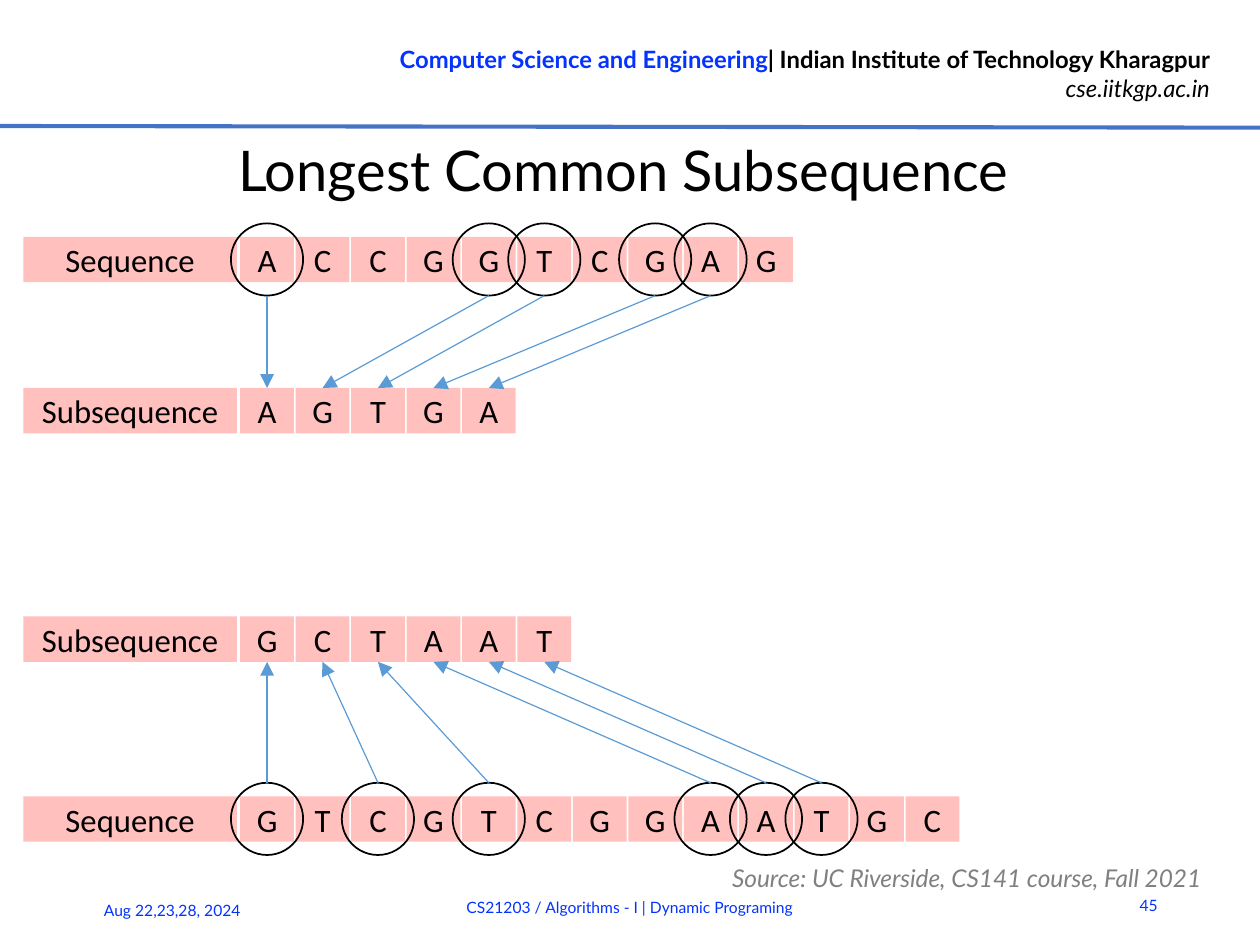
import pptx
import pptx.util
import pptx.dml.color
import pptx.enum.shapes
import pptx.enum.text
import pptx.oxml.ns
import lxml.etree

Inches, Pt = pptx.util.Inches, pptx.util.Pt
SHAPE = pptx.enum.shapes.MSO_SHAPE
STRAIGHT = pptx.enum.shapes.MSO_CONNECTOR.STRAIGHT
ALIGN = pptx.enum.text.PP_ALIGN
ANCHOR = pptx.enum.text.MSO_ANCHOR
qn = pptx.oxml.ns.qn

BLUE, BLACK, GREY = "0432FF", "000000", "808080"
PINK, ARROW, RULE = "FFACA9", "5B9BD5", "4472C4"
LEFT, LABEL_W = 0.14, 1.27
CELL_X, PITCH, CELL_W, CELL_H = 1.43, 0.33, 0.32, 0.27
RING = 0.43


def rgb(value):
    return pptx.dml.color.RGBColor.from_string(value)


def write(shape, lines, align, anchor=ANCHOR.MIDDLE, inset=None):
    """Fill a shape with lines, each a list of (text, font values, colour)."""
    tf = shape.text_frame
    tf.word_wrap = True
    tf.vertical_anchor = anchor
    if inset is not None:
        for side in ("left", "top", "right", "bottom"):
            setattr(tf, "margin_" + side, Inches(inset))
    for i, line in enumerate(lines):
        p = tf.add_paragraph() if i else tf.paragraphs[0]
        p.alignment = align
        for text, font, colour in line:
            r = p.add_run()
            r.text = text
            for name, value in font.items():
                setattr(r.font, name, value)
            r.font.color.rgb = rgb(colour)
    return tf


prs = pptx.Presentation()
prs.slide_width = Inches(7.5)
prs.slide_height = prs.slide_width * 3 // 4
s = prs.slides.add_slide(prs.slide_layouts[6])

# Header, title and footer
head = {"name": "Lato", "size": Pt(10.2)}
small = {"name": "Lato", "size": Pt(6.7)}
bold, italic = {**head, "bold": True}, {**head, "italic": True}
texts = [
    ((1.91, 0.22, 5.39, 0.44), ALIGN.RIGHT, ANCHOR.TOP, None,
     [[("Computer Science and Engineering", bold, BLUE),
       ("| Indian Institute of Technology Kharagpur", bold, BLACK)],
      [("cse.iitkgp.ac.in", italic, BLACK)]]),
    ((0.24, 0.8, 6.94, 0.41), ALIGN.CENTER, ANCHOR.MIDDLE, 0,
     [[("Longest Common Subsequence", {"name": "Lato", "size": Pt(24)}, BLACK)]]),
    ((0.52, 5.27, 1.31, 0.3), ALIGN.LEFT, ANCHOR.MIDDLE, None,
     [[("Aug 22,23,28, 2024", small, BLUE)]]),
    ((1.24, 5.25, 5.02, 0.3), ALIGN.CENTER, ANCHOR.MIDDLE, None,
     [[("CS21203 / Algorithms - I | Dynamic Programing", small, BLUE)]]),
    ((6.62, 5.24, 0.37, 0.3), ALIGN.RIGHT, ANCHOR.MIDDLE, None,
     [[("45", small, BLUE)]]),
    ((4.26, 5.09, 3.18, 0.2), ALIGN.LEFT, ANCHOR.MIDDLE, None,
     [[("Source: UC Riverside, CS141 course, Fall 2021",
        {**italic, "size": Pt(10.5)}, GREY)]]),
]
for box, align, anchor, inset, lines in texts:
    tb = s.shapes.add_textbox(*map(Inches, box))
    tf = write(tb, lines, align, anchor, inset)
tf.paragraphs[0].line_spacing = Pt(18)

rule = s.shapes.add_connector(STRAIGHT, 0, Inches(0.75), prs.slide_width, Inches(0.76))
rule.line.color.rgb = rgb(RULE)
rule.line.width = Pt(1.75)
lxml.etree.SubElement(rule._element.spPr, qn("a:effectLst"))

# Each example: sequence, picked positions, top of both rows
examples = [
    ("ACCGGTCGAG", (0, 4, 5, 7, 8), 1.41, 2.31),
    ("GTCGTCGGAATGC", (0, 2, 4, 8, 9, 10), 4.74, 3.67),
]
letter_font = {"name": "Calibri", "size": Pt(14)}
for sequence, picks, seq_y, sub_y in examples:
    subsequence = [sequence[i] for i in picks]
    for label, letters, y in (("Sequence", sequence, seq_y),
                              ("Subsequence", subsequence, sub_y)):
        cells = []
        for i, text in enumerate([label, *letters]):
            x = CELL_X + (i - 1) * PITCH if i else LEFT
            w = CELL_W if i else LABEL_W
            cell = s.shapes.add_shape(SHAPE.RECTANGLE, *map(Inches, (x, y, w, CELL_H)))
            cell.shadow.inherit = False
            cell.fill.solid()
            cell.fill.fore_color.rgb = rgb(PINK)
            tint = cell._element.spPr.find(".//" + qn("a:srgbClr"))
            lxml.etree.SubElement(tint, qn("a:alpha"), val="75000")
            cell.line.fill.background()
            write(cell, [[(text, letter_font, BLACK)]], ALIGN.CENTER, inset=0)
            cells.append(cell)

    # cells now holds the subsequence row, label first
    downward = sub_y > seq_y
    ring_y = seq_y + (CELL_H - RING) / 2
    for pick, target in zip(picks, cells[1:]):
        mid_x = CELL_X + pick * PITCH + CELL_W / 2
        ring = s.shapes.add_shape(SHAPE.OVAL, *map(Inches, (mid_x - RING / 2, ring_y, RING, RING)))
        ring.shadow.inherit = False
        ring.fill.background()
        ring.line.color.rgb = rgb(BLACK)
        ring.line.width = Pt(0.75)

        start = Inches(mid_x), Inches(ring_y + RING * downward)
        arrow = s.shapes.add_connector(STRAIGHT, *start, *start)
        arrow.end_connect(target, 0 if downward else 2)
        arrow.line.color.rgb = rgb(ARROW)
        arrow.line.width = Pt(0.5)
        lxml.etree.SubElement(arrow.line._get_or_add_ln(), qn("a:tailEnd"), type="triangle")
        lxml.etree.SubElement(arrow._element.spPr, qn("a:effectLst"))

prs.save("out.pptx")
